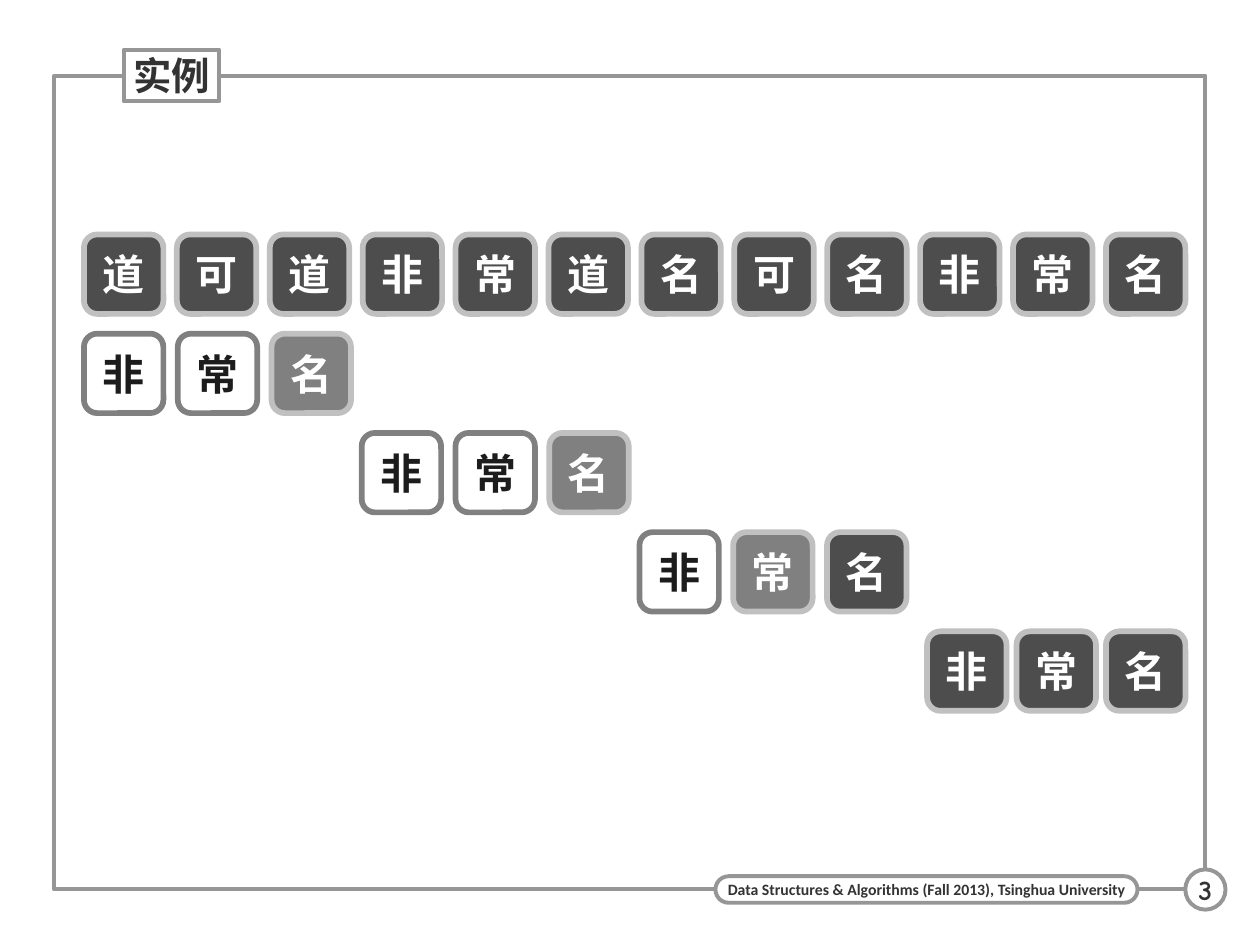
from dataclasses import dataclass

import pptx
import pptx.dml.color
import pptx.enum.shapes
import pptx.enum.text
import pptx.oxml.ns
import pptx.util
from lxml import etree

Pt = pptx.util.Pt
SHAPES = pptx.enum.shapes.MSO_SHAPE


@dataclass(frozen=True)
class Theme:
    white: str = "FFFFFF"
    frame: str = "969696"
    text: str = "333333"
    mono: str = "Courier New"
    chinese: str = "Noto Sans CJK SC"
    footer: str = "Calibri"
    number: str = "Comic Neue"
    title_size: float = 22
    tile_size: float = 24
    footer_size: float = 9
    number_size: float = 16
    frame_width: float = 2.25
    tile_width: float = 3.25


THEME = Theme()
# Tile states: fill, line, text colour
TILE_STYLES = {
    "D": ("4D4D4D", "C0C0C0", "FFFFFF"),  # matched or text character
    "G": ("808080", "C0C0C0", "FFFFFF"),  # mismatch
    "W": ("FFFFFF", "808080", "1C1C1C"),  # not compared
}


def rgb(value):
    return pptx.dml.color.RGBColor.from_string(value)


def add_box(slide, kind, box, fill, line, width):
    shape = slide.shapes.add_shape(kind, *(Pt(value) for value in box))
    shape.shadow.inherit = False
    if fill is None:
        shape.fill.background()
    else:
        shape.fill.solid()
        shape.fill.fore_color.rgb = rgb(fill)
    shape.line.color.rgb = rgb(line)
    shape.line.width = Pt(width)
    return shape


def add_label(shape, text, font_name, size, color, margins=(0, 0)):
    frame = shape.text_frame
    frame.word_wrap = False
    frame.vertical_anchor = pptx.enum.text.MSO_ANCHOR.MIDDLE
    frame.margin_left = frame.margin_right = Pt(margins[0])
    frame.margin_top = frame.margin_bottom = Pt(margins[1])
    paragraph = frame.paragraphs[0]
    paragraph.alignment = pptx.enum.text.PP_ALIGN.CENTER
    run = paragraph.add_run()
    run.text = text
    run.font.name = font_name
    run.font.size = Pt(size)
    run.font.bold = True
    run.font.color.rgb = rgb(color)
    # East Asian typeface for the Chinese characters
    east_asian = etree.SubElement(run.font._element, pptx.oxml.ns.qn("a:ea"))
    east_asian.set("typeface", THEME.chinese)


def add_page_frame(slide, box, footer, number):
    left, top, width, height = box
    right, bottom = left + width, top + height
    add_box(slide, SHAPES.RECTANGLE, box, None, THEME.frame, THEME.frame_width)

    # Course name on the bottom edge
    pill_width, pill_height = 241.2, 15.2
    pill_box = (right - 38.8 - pill_width, bottom - pill_height / 2, pill_width, pill_height)
    pill = add_box(slide, SHAPES.ROUNDED_RECTANGLE, pill_box,
                   THEME.white, THEME.frame, THEME.frame_width)
    pill.adjustments[0] = 0.5
    add_label(pill, footer, THEME.footer, THEME.footer_size, THEME.text, (4, 0))

    # Page number on the bottom right corner
    diameter = 23
    circle_box = (right - diameter / 2, bottom - diameter / 2, diameter, diameter)
    circle = add_box(slide, SHAPES.OVAL, circle_box,
                     THEME.white, THEME.frame, THEME.frame_width)
    add_label(circle, number, THEME.number, THEME.number_size, THEME.text, (3, 3))


def add_title(slide, box, text):
    shape = add_box(slide, SHAPES.RECTANGLE, box,
                    THEME.white, THEME.frame, THEME.frame_width)
    add_label(shape, text, THEME.mono, THEME.title_size, THEME.text, (4, 1))


def add_tile_row(slide, box, characters, states):
    """Spread square tiles evenly from the left to the right side of the box."""
    left, top, width, side = box
    pitch = (width - side) / (len(characters) - 1)
    for index, (character, state) in enumerate(zip(characters, states)):
        fill, line, color = TILE_STYLES[state]
        tile = add_box(slide, SHAPES.ROUNDED_RECTANGLE,
                       (left + index * pitch, top, side, side),
                       fill, line, THEME.tile_width)
        add_label(tile, character, THEME.mono, THEME.tile_size, color)


def add_matching(slide, box):
    left, top, width, height = box
    side = 45.4
    text, pattern = "道可道非常道名可名非常名", "非常名"
    # Offset from the left, width, characters, states
    rows = [
        (0, width, text, "D" * len(text)),
        (0, 152.6, pattern, "WWG"),
        (158.7, 152.6, pattern, "WWG"),
        (317.4, 152.6, pattern, "WGD"),
        (width - 147.6, 147.6, pattern, "DDD"),
    ]
    pitch = (height - side) / (len(rows) - 1)
    for index, (offset, row_width, characters, states) in enumerate(rows):
        row_box = (left + offset, top + index * pitch, row_width, side)
        add_tile_row(slide, row_box, characters, states)


def main():
    presentation = pptx.Presentation()
    presentation.slide_width, presentation.slide_height = Pt(720), Pt(540)
    slide = presentation.slides.add_slide(presentation.slide_layouts[6])
    add_page_frame(slide, (31, 43.3, 657.8, 465),
                   "Data Structures & Algorithms (Fall 2013), Tsinghua University", "3")
    add_title(slide, (70.7, 28.4, 54.6, 29.5), "实例")
    add_matching(slide, (48, 134, 629.4, 272.2))
    presentation.save("out.pptx")


if __name__ == "__main__":
    main()
